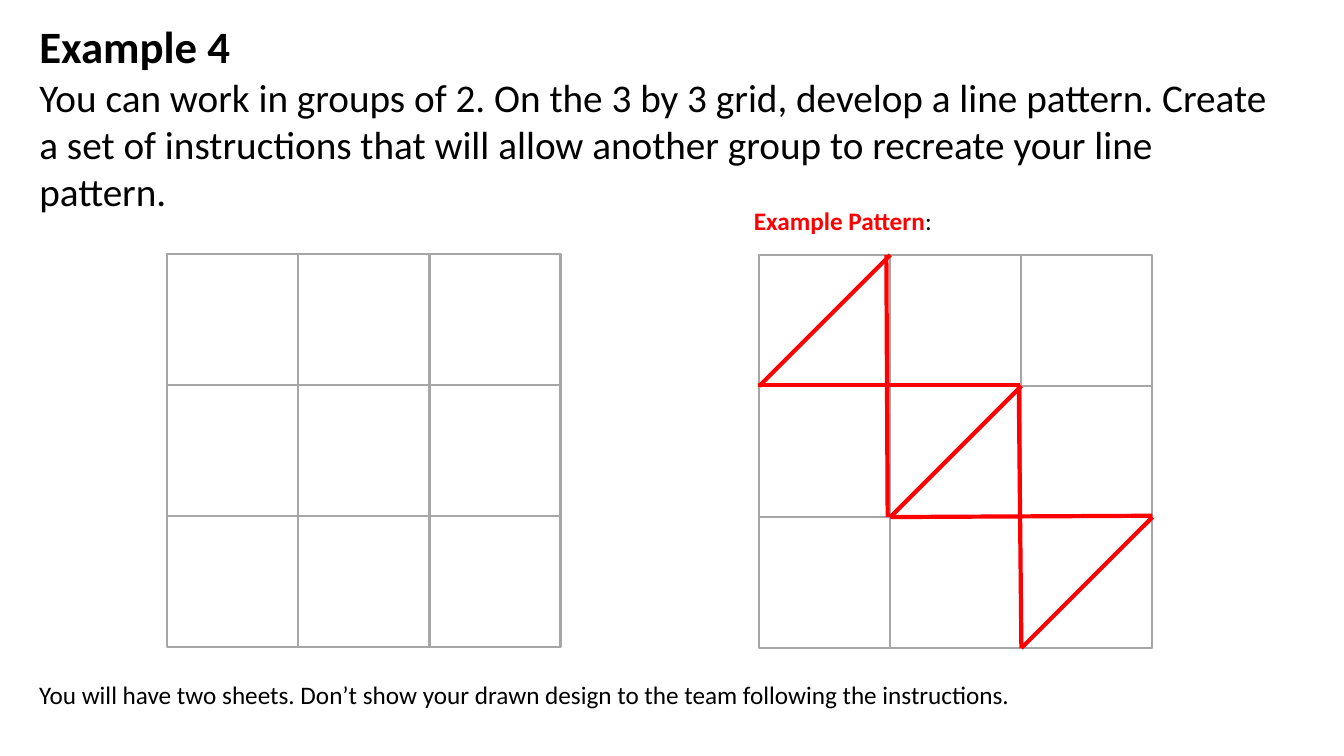
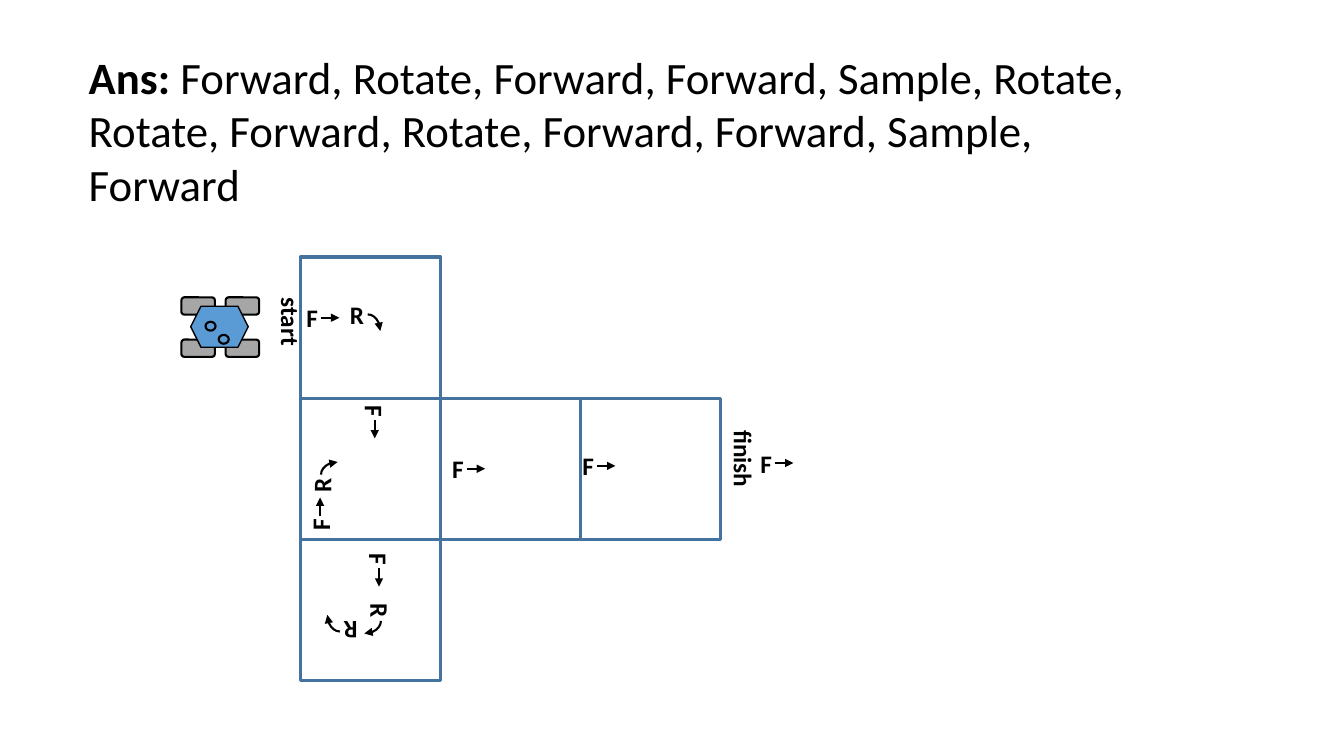
from dataclasses import dataclass
from itertools import product
from math import cos, radians, sin

from lxml import etree
from pptx import Presentation
from pptx.dml.color import RGBColor
from pptx.enum.shapes import MSO_CONNECTOR, MSO_SHAPE
from pptx.enum.text import MSO_ANCHOR, MSO_AUTO_SIZE, PP_ALIGN
from pptx.oxml.ns import qn
from pptx.util import Inches, Pt

RECT, ROUND = MSO_SHAPE.RECTANGLE, MSO_SHAPE.ROUNDED_RECTANGLE
HEXAGON, OVAL, ARC = MSO_SHAPE.HEXAGON, MSO_SHAPE.OVAL, MSO_SHAPE.ARC
STRAIGHT, LEFT, TOP = MSO_CONNECTOR.STRAIGHT, PP_ALIGN.LEFT, MSO_ANCHOR.TOP
NO_FIT = MSO_AUTO_SIZE.NONE
TITLE_AND_BODY, TITLE_ONLY = 1, 5


@dataclass(frozen=True)
class Theme:
    """Colours, font and type sizes shared by the slides."""
    font: str = "Calibri"
    ink: str = "000000"
    accent: str = "FF0000"
    grey: str = "A6A6A6"
    path_line: str = "43739E"
    robot: str = "5B9BD5"
    title: int = 32
    body: int = 28
    label: int = 18


@dataclass(frozen=True)
class Box:
    """Rectangle in inches."""
    x: float
    y: float
    w: float
    h: float

    def point(self, col, row, cols=1, rows=1):
        """Return the point at a column and row of this box."""
        return self.x + col * self.w / cols, self.y + row * self.h / rows

    def area(self, col, row, wide, high, cols=1, rows=1):
        """Return a box that spans columns and rows of this box."""
        return Box(*self.point(col, row, cols, rows), wide * self.w / cols, high * self.h / rows)

    def emu(self):
        """Return left, top, width and height as lengths."""
        return [Inches(v) for v in (self.x, self.y, self.w, self.h)]


T = Theme()
SLIDE = Box(0, 0, 13.33, 7.5)
GRID = 3
LETTER = (0.33, 0.4)
TURN = (0.25, 0.33)
PATTERN = [
    (1, 0, 0, 1), (3, 2, 2, 3), (2, 1, 1, 2), (2, 3, 1.98, 1),
    (1, 2, 3, 1.99), (0.98, 2, 0.97, 0), (-0.01, 0.99, 1.99, 0.99),
]
CELLS = [(0, 0), (0, 1), (1, 1), (0, 2), (2, 1)]
STEPS = [
    ("F", 0.09, 0.43, 0), ("R", 0.4, 0.41, 0), ("F", 0.53, 1.1, 90),
    ("F", 0.56, 2.15, 90), ("R", 0.57, 2.5, 90), ("R", 0.36, 2.65, 180),
    ("F", 0.14, 1.89, 270), ("R", 0.15, 1.62, 270), ("F", 1.13, 1.5, 0),
    ("F", 2.06, 1.48, 0), ("F", 3.33, 1.46, 0),
]


def percent(x, y, w, h):
    """Return a box given in hundredths of the slide."""
    return SLIDE.area(x, y, w, h, 100, 100)


def centred(x, y, w, h):
    """Return a box around a centre."""
    return Box(x - w / 2, y - h / 2, w, h)


def write(sp, size, *runs):
    """Fill one left-aligned paragraph with (text, bold, colour) runs."""
    tf = sp.text_frame
    tf.word_wrap, tf.auto_size, tf.vertical_anchor = True, NO_FIT, TOP
    p = tf.paragraphs[0]
    p.alignment, p.space_before = LEFT, Pt(0)
    for text, bold, color in runs:
        r = p.add_run()
        r.text = text
        r.font.name, r.font.size, r.font.bold = T.font, Pt(size), bold
        r.font.color.rgb = RGBColor.from_string(color)


def add_text(shapes, box, *runs, angle=0):
    """Add a label."""
    sp = shapes.add_textbox(*box.emu())
    sp.rotation = angle
    write(sp, T.label, *runs)


def fill_placeholder(sp, box, size, *runs):
    """Move and fill a title or an unbulleted body placeholder."""
    sp.left, sp.top, sp.width, sp.height = box.emu()
    write(sp, size, *runs)
    props = sp.text_frame.paragraphs[0]._p.get_or_add_pPr()
    props.set("marL", "0")
    props.set("indent", "0")
    etree.SubElement(props, qn("a:buNone"))


def stroke(sp, color, width, arrow=False):
    """Set a line's colour, width and optional arrowhead."""
    sp.line.color.rgb, sp.line.width = RGBColor.from_string(color), Pt(width)
    if arrow:
        etree.SubElement(sp._element.spPr.find(qn("a:ln")), qn("a:tailEnd"), type="triangle")


def add_shape(shapes, kind, box, color, width, fill=None, angle=0, arrow=False):
    """Add an outlined preset shape."""
    sp = shapes.add_shape(kind, *box.emu())
    sp.shadow.inherit, sp.rotation = False, angle
    if fill:
        sp.fill.solid()
        sp.fill.fore_color.rgb = RGBColor.from_string(fill)
    else:
        sp.fill.background()
    stroke(sp, color, width, arrow)


def add_line(shapes, start, end, color, width, arrow=False):
    """Add a straight line without a shadow."""
    sp = shapes.add_connector(STRAIGHT, *[Inches(v) for v in (*start, *end)])
    stroke(sp, color, width, arrow)
    etree.SubElement(sp._element.spPr, qn("a:effectLst"))


def draw_cells(shapes, box, cells, color, width):
    """Draw the chosen cells of a square grid."""
    for col, row in cells:
        add_shape(shapes, RECT, box.area(col, row, 1, 1, GRID, GRID), color, width)


def draw_grid(slide, box, pattern=()):
    """Draw a full grid with an optional line pattern."""
    shapes = slide.shapes.add_group_shape().shapes
    draw_cells(shapes, box, product(range(GRID), repeat=2), T.grey, 1.5)
    for x1, y1, x2, y2 in pattern:
        add_line(shapes, box.point(x1, y1, GRID, GRID), box.point(x2, y2, GRID, GRID), T.accent, 3)


def draw_robot(slide, box):
    """Draw the four-wheeled robot."""
    shapes = slide.shapes.add_group_shape().shapes
    for x, y in product((0, 0.57), (0, 0.71)):
        add_shape(shapes, ROUND, box.area(x, y, 0.43, 0.29), T.ink, 1.5, T.grey)
    add_shape(shapes, HEXAGON, box.area(0.12, 0.15, 0.74, 0.69), T.ink, 1, T.robot)
    for x, y in ((0.31, 0.41), (0.48, 0.63)):
        add_shape(shapes, OVAL, box.area(x, y, 0.13, 0.15), T.ink, 1.5, T.robot)


def draw_step(slide, letter, centre, angle):
    """Draw a turned letter with its forward or rotate arrow."""
    shapes = slide.shapes.add_group_shape().shapes
    cx, cy = centre
    c, s = cos(radians(angle)), sin(radians(angle))

    def turned(dx, dy):
        """Return an offset turned about the letter's centre."""
        return cx + dx * c - dy * s, cy + dx * s + dy * c

    add_text(shapes, centred(cx, cy, *LETTER), (letter, True, T.ink), angle=angle)
    if letter == "F":
        add_line(shapes, turned(0.08, 0), turned(0.26, 0), T.ink, 1.5, True)
    else:
        arc = centred(*turned(0.11, 0.16), *TURN)
        add_shape(shapes, ARC, arc, T.ink, 1.5, angle=angle, arrow=True)


def draw_path(slide, box):
    """Draw the robot's path with its labels and steps."""
    draw_cells(slide.shapes.add_group_shape().shapes, box, CELLS, T.path_line, 2.25)
    for text, col, row in (("start", -0.07, 0.56), ("finish", 3.16, 1.5)):
        label = centred(*box.point(col, row, GRID, GRID), 0.96, 0.41)
        add_text(slide.shapes, label, (text, True, T.ink), angle=90)
    for letter, col, row, angle in STEPS:
        draw_step(slide, letter, box.point(col, row, GRID, GRID), angle)


def example_slide(prs):
    """Build the line pattern task."""
    slide = prs.slides.add_slide(prs.slide_layouts[TITLE_AND_BODY])
    title, body = slide.placeholders
    fill_placeholder(title, percent(2.18, 1.87, 94.37, 8), T.title, ("Example 4", True, T.ink))
    fill_placeholder(body, percent(2.18, 9.07, 94.37, 20.13), T.body, (
        "You can work in groups of 2. On the 3 by 3 grid, develop a line pattern. "
        "Create a set of instructions that will allow another group to recreate "
        "your line pattern.", False, T.ink))
    draw_grid(slide, percent(12.45, 33.6, 29.26, 52))
    draw_grid(slide, percent(56.49, 33.73, 29.26, 52), PATTERN)
    add_text(slide.shapes, percent(55.36, 26.53, 21.08, 5.33),
             ("Example Pattern", True, T.accent), (":", False, T.ink))
    add_text(slide.shapes, percent(2.18, 89.2, 94.37, 5.33), (
        "You will have two sheets. Don’t show your drawn design to the team "
        "following the instructions.", False, T.ink))


def answer_slide(prs):
    """Build the robot path answer."""
    slide = prs.slides.add_slide(prs.slide_layouts[TITLE_ONLY])
    fill_placeholder(
        slide.shapes.title, percent(5.85, 5.87, 79.89, 22.93), T.title,
        ("Ans: ", True, T.ink),
        ("Forward, Rotate, Forward, Forward, Sample, Rotate, Rotate, Forward, "
         "Rotate, Forward, Forward, Sample, Forward", False, T.ink))
    draw_path(slide, percent(22.36, 34, 31.28, 56))
    draw_robot(slide, percent(13.5, 39.33, 5.78, 7.87))


def main():
    """Build and save the presentation."""
    prs = Presentation()
    prs.slide_width, prs.slide_height = Inches(SLIDE.w), Inches(SLIDE.h)
    example_slide(prs)
    answer_slide(prs)
    prs.save("out.pptx")


if __name__ == "__main__":
    main()
